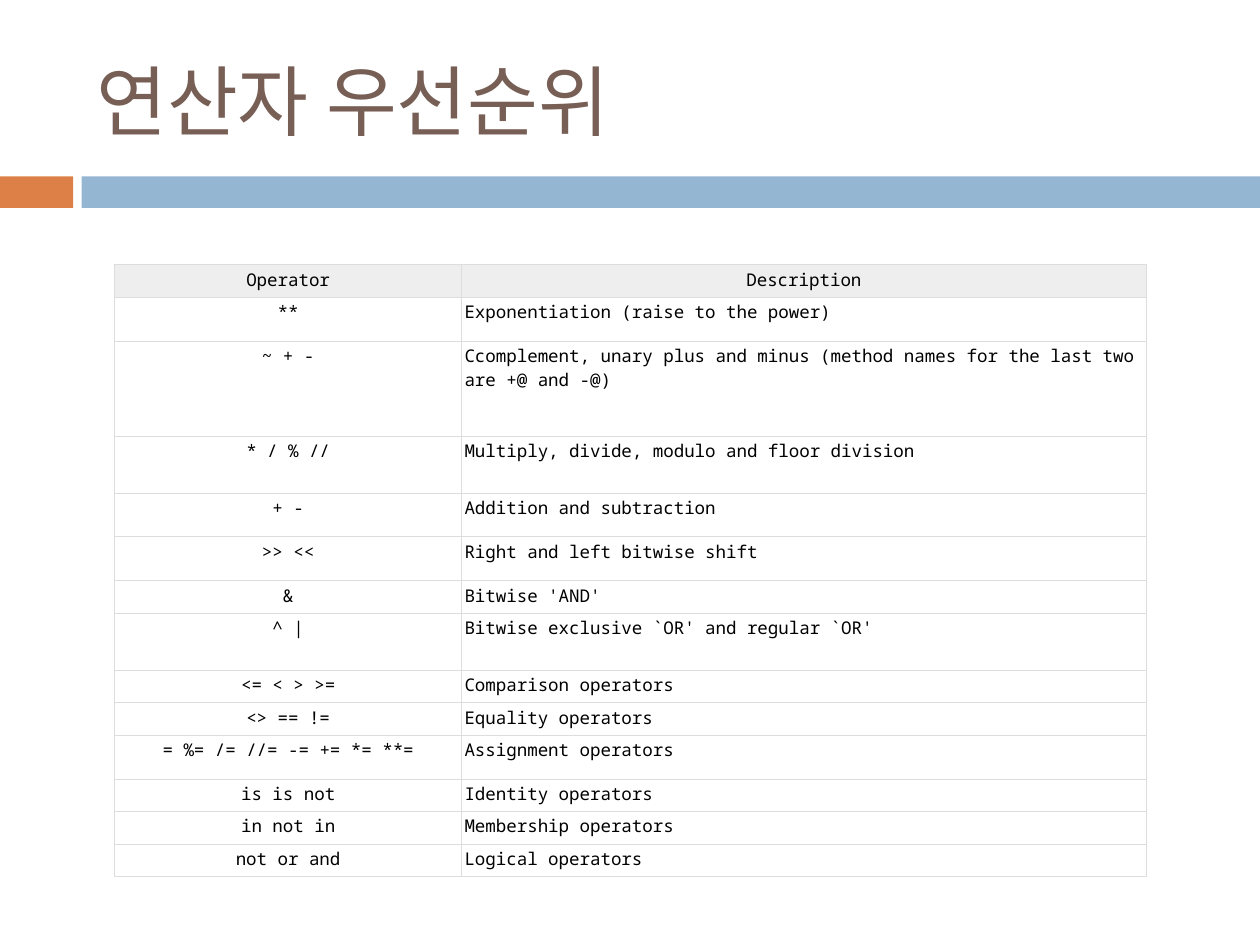
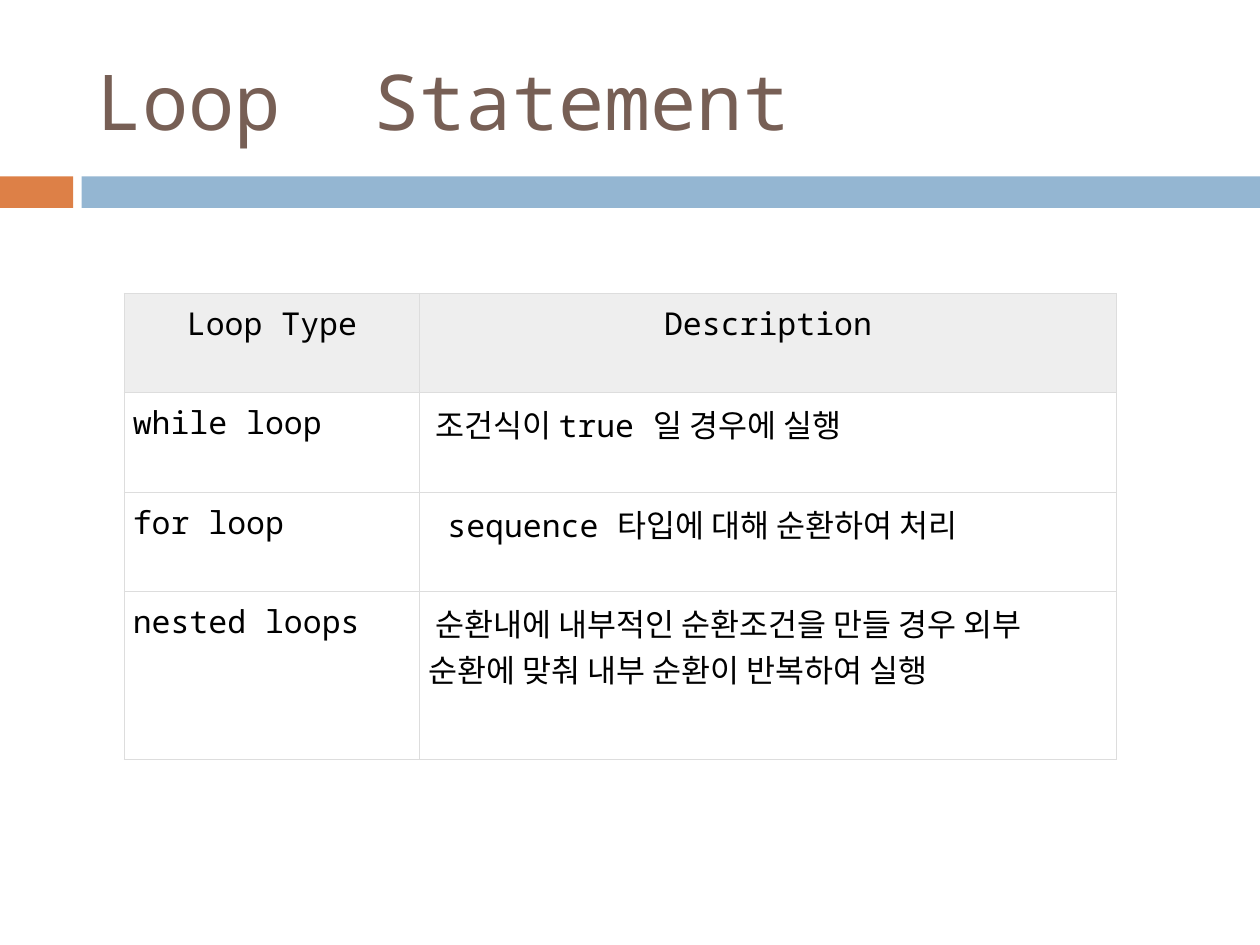
from lxml import etree
from pptx import Presentation
from pptx.dml.color import RGBColor
from pptx.enum.shapes import MSO_SHAPE as Shape
from pptx.enum.text import MSO_ANCHOR as Anchor, PP_ALIGN as Align
from pptx.oxml.ns import qn
from pptx.util import Pt

COLORS = {
    "title": "775F55",
    "accent": "DD8047",
    "band": "94B6D2",
    "text": "000000",
    "header": "EEEEEE",
    "border": "DDDDDD",
}
FONT = "Noto Sans Mono"
BORDER_WIDTH = Pt(0.6)


def color(name):
    return RGBColor.from_string(COLORS[name])


class Lesson:
    """Holds the deck, its style and the current page."""

    def __init__(self):
        self.deck = Presentation()
        self.deck.slide_width, self.deck.slide_height = Pt(720), Pt(540)
        self.page = None

    def add_page(self, title):
        self.page = self.deck.slides.add_slide(self.deck.slide_layouts[6])
        self.band(0, 41.9, "accent")
        self.band(46.6, 673.4, "band")
        self.title(title)

    def band(self, left, width, fill):
        band = self.page.shapes.add_shape(
            Shape.RECTANGLE, Pt(left), Pt(100.8), Pt(width), Pt(18))
        band.shadow.inherit = False
        band.fill.solid()
        band.fill.fore_color.rgb = color(fill)
        band.line.fill.background()

    def title(self, text):
        box = self.page.shapes.add_textbox(Pt(48), Pt(18), Pt(642), Pt(78))
        frame = box.text_frame
        frame.word_wrap = True
        frame.vertical_anchor = Anchor.MIDDLE
        self.span(frame.paragraphs[0], text, 44, "title")

    def span(self, para, text, size, ink):
        span = para.add_run()
        span.text = text
        span.font.name = FONT
        span.font.size = Pt(size)
        span.font.color.rgb = color(ink)

    def table(self, left, top, widths, heights, rows, size, inset, first_align):
        frame = self.page.shapes.add_table(
            len(rows), len(widths), Pt(left), Pt(top),
            Pt(sum(widths)), Pt(sum(heights)))
        table = frame.table
        table.first_row = table.horz_banding = False
        for column, width in zip(table.columns, widths):
            column.width = Pt(width)
        for row, height in zip(table.rows, heights):
            row.height = Pt(height)
        for r, texts in enumerate(rows):
            aligns = (first_align, Align.LEFT) if r else (Align.CENTER,) * 2
            for c, (text, align) in enumerate(zip(texts, aligns)):
                cell = table.cell(r, c)
                self.cell(cell, inset, is_header=r == 0)
                para = cell.text_frame.paragraphs[0]
                para.alignment = align
                self.span(para, text, size, "text")

    def cell(self, cell, inset, is_header):
        cell.margin_left = cell.margin_right = Pt(inset)
        cell.margin_top = cell.margin_bottom = Pt(inset)
        cell.vertical_anchor = Anchor.TOP
        # Borders come before the fill in the cell properties
        properties = cell._tc.get_or_add_tcPr()
        for side in ("lnL", "lnR", "lnT", "lnB"):
            line = etree.SubElement(
                properties, qn(f"a:{side}"), w=str(BORDER_WIDTH))
            fill = etree.SubElement(line, qn("a:solidFill"))
            etree.SubElement(fill, qn("a:srgbClr"), val=COLORS["border"])
        if is_header:
            cell.fill.solid()
            cell.fill.fore_color.rgb = color("header")
        else:
            cell.fill.background()


# Row heights of the operator table
LOW, MIDDLE, HIGH, TALL = 18.6, 25.1, 32.4, 54.4

OPERATORS = [
    (LOW, "Operator", "Description"),
    (MIDDLE, "**", "Exponentiation (raise to the power)"),
    (TALL, "~ + -", "Ccomplement, unary plus and minus "
                    "(method names for the last two are +@ and -@)"),
    (HIGH, "* / % //", "Multiply, divide, modulo and floor division"),
    (MIDDLE, "+ -", "Addition and subtraction"),
    (MIDDLE, ">> <<", "Right and left bitwise shift"),
    (LOW, "&", "Bitwise 'AND'"),
    (HIGH, "^ |", "Bitwise exclusive `OR' and regular `OR'"),
    (LOW, "<= < > >=", "Comparison operators"),
    (LOW, "<> == !=", "Equality operators"),
    (MIDDLE, "= %= /= //= -= += *= **=", "Assignment operators"),
    (LOW, "is is not", "Identity operators"),
    (LOW, "in not in", "Membership operators"),
    (LOW, "not or and", "Logical operators"),
]

LOOPS = [
    ("Loop Type", "Description"),
    ("while loop", " 조건식이 true 일 경우에 실행"),
    ("for loop", " sequence 타입에 대해 순환하여 처리"),
    ("nested loops", " 순환내에 내부적인 순환조건을 만들 경우 외부 "
                     "순환에 맞춰 내부 순환이 반복하여 실행"),
]


def main():
    lesson = Lesson()

    # Operator precedence
    lesson.add_page("연산자 우선순위")
    lesson.table(65.4, 151.2, (198.5, 391), [row[0] for row in OPERATORS],
                 [row[1:] for row in OPERATORS], 10, 1.6, Align.CENTER)

    # Loop statements
    lesson.add_page("Loop  Statement")
    lesson.table(70.9, 167.6, (169, 398), [56.8] * 3 + [96],
                 LOOPS, 18, 5, Align.JUSTIFY)

    lesson.deck.save("out.pptx")


if __name__ == "__main__":
    main()
